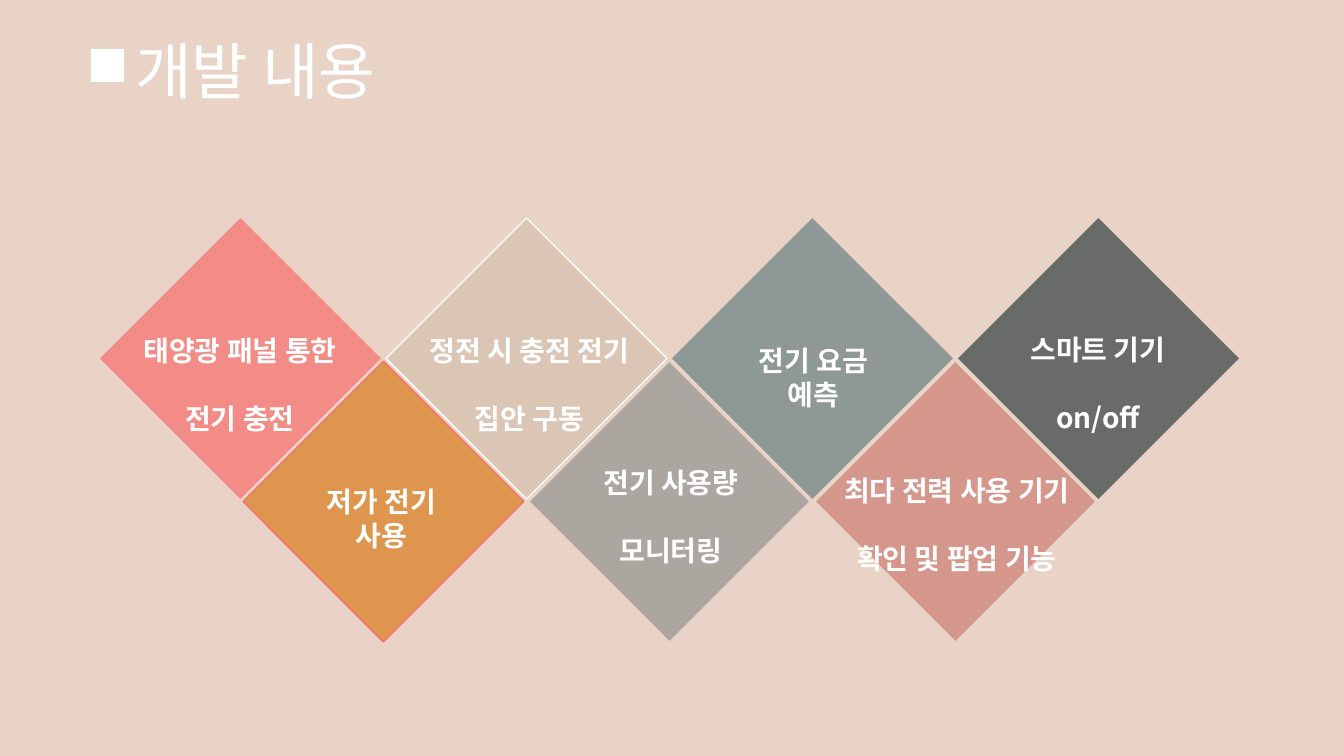
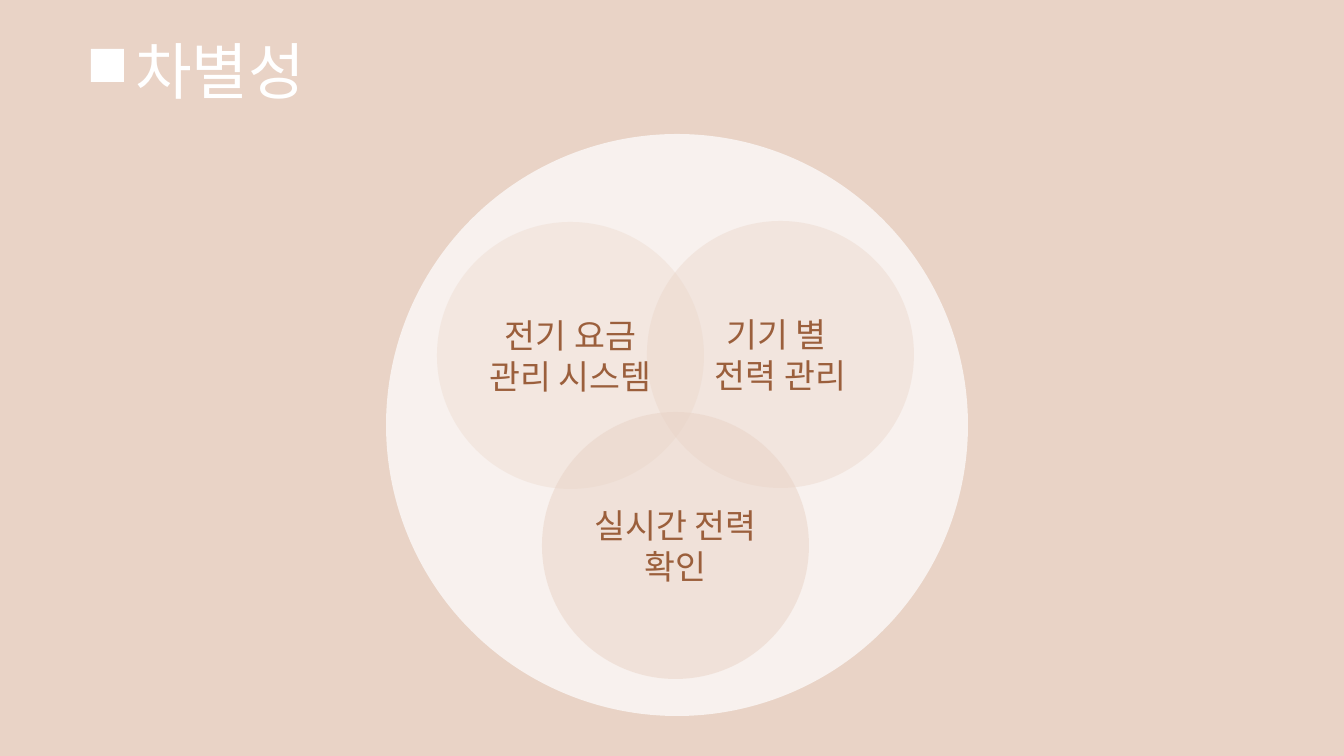
from dataclasses import dataclass

from lxml import etree
from pptx import Presentation
from pptx import util as u
from pptx.dml import color as dml
from pptx.enum import shapes as kinds, text as t
from pptx.oxml import ns
from pptx.shapes.base import BaseShape
from pptx.slide import Slide

SLIDE_WIDTH, SLIDE_HEIGHT = 1344, 756
EMU_PER_PX = 12192000 / SLIDE_WIDTH


@dataclass(frozen=True)
class Theme:
    font: str = "Noto Sans CJK KR"
    background: str = "E9D3C6"
    white: str = "FFFFFF"
    coral: str = "F86F6C"
    orange: str = "DA7D1D"
    sand: str = "BBAB94"
    navy: str = "1E3E4B"
    teal: str = "688084"
    red: str = "AA0C08"
    charcoal: str = "344042"
    cream: str = "F2E5DD"
    brown: str = "9B5F3C"
    title_size: int = 44
    circle_size: int = 24
    label_size: int = 20


THEME = Theme()


@dataclass(frozen=True)
class Box:
    left: int
    top: int
    width: int
    height: int


@dataclass(frozen=True)
class Feature:
    """A diamond and its label; gap is the space in points between label lines."""
    lines: tuple[str, ...]
    label: Box
    fill: str
    opacity: int
    line: str | None = None
    gap: int = 24


@dataclass(frozen=True)
class Circle:
    lines: tuple[str, ...]
    left: int
    top: int
    fill: str
    opacity: int


DIAMOND_SIZE = 281
DIAMOND_LEFT, DIAMOND_STEP = 100, 143
DIAMOND_TOPS = (218, 361)
FEATURES = (
    Feature(("태양광 패널 통한", "전기 충전"), Box(131, 329, 218, 78), THEME.coral, 70),
    Feature(("저가 전기", "사용"), Box(289, 480, 185, 78), THEME.orange, 70, THEME.coral, gap=0),
    Feature(("정전 시 충전 전기", "집안 구동"), Box(417, 329, 225, 78), THEME.sand, 30, THEME.white),
    Feature(("전기 사용량", "모니터링"), Box(591, 461, 160, 78), THEME.navy, 30, THEME.background),
    Feature(("전기 요금", "예측"), Box(721, 339, 185, 78), THEME.teal, 70, gap=0),
    Feature(("최다 전력 사용 기기", "확인 및 팝업 기능"), Box(832, 469, 250, 78), THEME.red, 30, THEME.background),
    Feature(("스마트 기기", "on/off"), Box(1018, 328, 160, 78), THEME.charcoal, 70),
)

CIRCLE_SIZE = 267
CIRCLES = (
    Circle(("전기 요금", "관리 시스템"), 437, 222, THEME.cream, 80),
    Circle(("기기 별 ", "전력 관리"), 647, 221, THEME.background, 40),
    Circle(("실시간 전력", "확인"), 542, 412, THEME.background, 50),
)


def px(length: int) -> u.Emu:
    return u.Emu(round(length * EMU_PER_PX))


def place(box: Box) -> tuple[u.Emu, ...]:
    return px(box.left), px(box.top), px(box.width), px(box.height)


def write(shape: BaseShape, lines: tuple[str, ...], *, size: int, color: str,
          bold: bool = False, align: t.PP_ALIGN = t.PP_ALIGN.CENTER,
          anchor: t.MSO_ANCHOR = t.MSO_ANCHOR.MIDDLE, side_inset: int = 0,
          gap: int = 0, line_spacing: float | None = None) -> None:
    """Write one paragraph per line, with gap points before every line but the first."""
    frame = shape.text_frame
    frame.word_wrap = True
    frame.vertical_anchor = anchor
    frame.margin_left = frame.margin_right = px(side_inset)
    for index, line in enumerate(lines):
        paragraph = frame.add_paragraph() if index else frame.paragraphs[0]
        paragraph.alignment = align
        paragraph.line_spacing = line_spacing
        paragraph.space_before = u.Pt(gap if index else 0)
        run = paragraph.add_run()
        run.text = line
        run.font.size = u.Pt(size)
        run.font.bold = bold
        run.font.color.rgb = dml.RGBColor.from_string(color)
        run.font.name = THEME.font
        east_asian = etree.SubElement(run.font.fill._xPr, ns.qn("a:ea"))
        east_asian.set("typeface", THEME.font)


def add_shape(shapes, kind: kinds.MSO_SHAPE, box: Box, fill: str,
              opacity: int = 100, line: str | None = None) -> BaseShape:
    """Add a flat shape; opacity is in percent."""
    shape = shapes.add_shape(kind, *place(box))
    shape.shadow.inherit = False
    shape.fill.solid()
    shape.fill.fore_color.rgb = dml.RGBColor.from_string(fill)
    if opacity < 100:
        color = shape.element.spPr.find(ns.qn("a:solidFill"))[0]
        etree.SubElement(color, ns.qn("a:alpha")).set("val", str(opacity * 1000))
    if line:
        shape.line.color.rgb = dml.RGBColor.from_string(line)
        shape.line.width = u.Pt(1)
    else:
        shape.line.fill.background()
    return shape


def add_titled_slide(presentation, title: str) -> Slide:
    slide = presentation.slides.add_slide(presentation.slide_layouts[6])
    slide.background.fill.solid()
    slide.background.fill.fore_color.rgb = dml.RGBColor.from_string(THEME.background)
    heading = slide.shapes.add_textbox(*place(Box(125, 2, 1159, 146)))
    write(heading, (title,), size=THEME.title_size, color=THEME.white,
          align=t.PP_ALIGN.LEFT, side_inset=10, line_spacing=0.9)
    add_shape(slide.shapes, kinds.MSO_SHAPE.RECTANGLE, Box(91, 49, 33, 33), THEME.white)
    return slide


def build_features(presentation) -> None:
    slide = add_titled_slide(presentation, "개발 내용")
    for index, feature in enumerate(FEATURES):
        box = Box(DIAMOND_LEFT + index * DIAMOND_STEP, DIAMOND_TOPS[index % 2],
                  DIAMOND_SIZE, DIAMOND_SIZE)
        add_shape(slide.shapes, kinds.MSO_SHAPE.DIAMOND, box,
                  feature.fill, feature.opacity, feature.line)
    for feature in FEATURES:
        label = slide.shapes.add_textbox(*place(feature.label))
        write(label, feature.lines, size=THEME.label_size, color=THEME.white,
              bold=True, anchor=t.MSO_ANCHOR.TOP, gap=feature.gap)


def build_differences(presentation) -> None:
    slide = add_titled_slide(presentation, "차별성")
    add_shape(slide.shapes, kinds.MSO_SHAPE.OVAL, Box(386, 134, 582, 582), THEME.white, 70)
    group = slide.shapes.add_group_shape()
    for circle in CIRCLES:
        box = Box(circle.left, circle.top, CIRCLE_SIZE, CIRCLE_SIZE)
        shape = add_shape(group.shapes, kinds.MSO_SHAPE.OVAL, box, circle.fill, circle.opacity)
        write(shape, circle.lines, size=THEME.circle_size, color=THEME.brown)


def main() -> None:
    presentation = Presentation()
    presentation.slide_width = px(SLIDE_WIDTH)
    presentation.slide_height = px(SLIDE_HEIGHT)
    build_features(presentation)
    build_differences(presentation)
    presentation.save("out.pptx")


if __name__ == "__main__":
    main()
